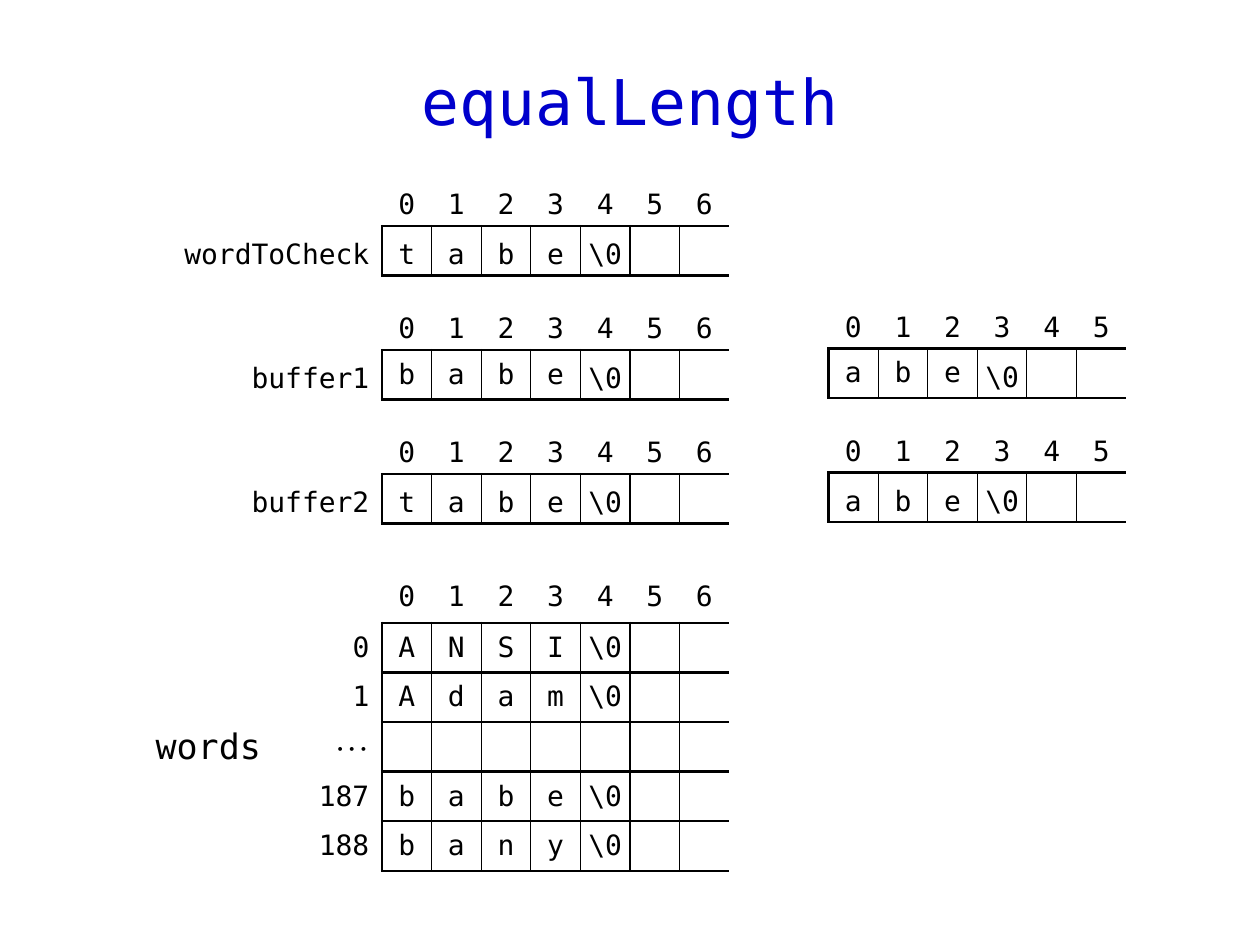
from lxml import etree
from pptx import Presentation
from pptx.dml.color import RGBColor
from pptx.enum.text import MSO_ANCHOR, PP_ALIGN
from pptx.oxml.ns import qn
from pptx.util import Pt

MIDDLE = MSO_ANCHOR.MIDDLE
CENTER, RIGHT = PP_ALIGN.CENTER, PP_ALIGN.RIGHT

COLORS = {"title": "0000CC", "ink": "000000"}
MONO, SERIF = "DejaVu Sans Mono", "Times New Roman"
CELL = 28.35          # side of one array cell
LEFT = 218.25         # left edge of the first array column
TOP = 99.9            # top of the first index row
THICK, THIN = 1.5, 0.75
LOOSE = 1.25          # line spacing that sets text a little lower


class Deck:
    def __init__(self, wide, high):
        self.prs = Presentation()
        self.prs.slide_width, self.prs.slide_height = Pt(wide), Pt(high)
        self.slide = self.prs.slides.add_slide(self.prs.slide_layouts[5])

    def style(self, para, text, size, align=CENTER, font=MONO, color="ink"):
        para.text = text
        para.alignment = align
        para.font.size = Pt(size)
        para.font.name = font
        para.font.color.rgb = RGBColor.from_string(COLORS[color])

    def title(self, text, x, y, w, h):
        shape = self.slide.shapes.title
        shape.left, shape.top, shape.width, shape.height = map(Pt, (x, y, w, h))
        shape.text_frame.vertical_anchor = MIDDLE
        self.style(shape.text_frame.paragraphs[0], text, 36, color="title")

    def text(self, text, x, y, w, h):
        frame = self.slide.shapes.add_textbox(*map(Pt, (x, y, w, h))).text_frame
        frame.word_wrap = True
        frame.vertical_anchor = MIDDLE
        self.style(frame.paragraphs[0], text, 20)

    def border(self, cell, **sides):
        """Draw the given sides (L, R, T, B: width) and hide the others."""
        props = cell._tc.get_or_add_tcPr()
        for side in "LRTB":
            line = etree.SubElement(props, qn(f"a:ln{side}"))
            if side in sides:
                line.set("w", str(Pt(sides[side])))
                fill = etree.SubElement(line, qn("a:solidFill"))
                etree.SubElement(fill, qn("a:srgbClr"), val=COLORS["ink"])
            else:
                line.set("w", "0")
                etree.SubElement(line, qn("a:noFill"))
        cell.fill.background()

    def fill_cell(self, cell, text, space, label=False):
        cell.margin_left = cell.margin_top = cell.margin_bottom = 0
        cell.margin_right = Pt(7.2 if label else 0)
        cell.vertical_anchor = MIDDLE
        para = cell.text_frame.paragraphs[0]
        dots = text == "⋯"
        self.style(para, text, 20 if dots else 16, RIGHT if label else CENTER,
                   SERIF if dots else MONO)
        if space != 1:
            para.line_spacing = space

    def array(self, col, row, count, words, labels=(), side=0,
              space=LOOSE, inner=LOOSE):
        """Index row above one row per word, open at the right end.

        col and row count cells from LEFT and TOP; side is the label width;
        inner is the line spacing of the letters.
        """
        lead = 1 if labels else 0
        rows, cols = len(words) + 1, count + lead
        frame = self.slide.shapes.add_table(
            rows, cols, Pt(LEFT + col * CELL - side), Pt(TOP + row * CELL),
            Pt(side + count * CELL), Pt(rows * CELL))
        table = frame.table
        table.first_row = table.horz_banding = False
        for i, column in enumerate(table.columns):
            column.width = Pt(side if i < lead else CELL)
        for line in table.rows:
            line.height = Pt(CELL)

        # Index row
        for i in range(count):
            cell = table.cell(0, i + lead)
            self.border(cell, B=THICK)
            self.fill_cell(cell, str(i), space)

        # Row labels
        if labels:
            self.border(table.cell(0, 0))
            for r, label in enumerate(labels, 1):
                self.border(table.cell(r, 0), R=THICK)
                self.fill_cell(table.cell(r, 0), label, space, label=True)

        # Letters, with the end mark after each word
        for r, word in enumerate(words, 1):
            marks = [*word, "\\0"] if word else []
            marks += [""] * (count - len(marks))
            for i, mark in enumerate(marks):
                cell = table.cell(r, i + lead)
                sides = {"L": THIN if i else THICK, "T": THICK, "B": THICK}
                if i < count - 1:
                    sides["R"] = THIN
                self.border(cell, **sides)
                self.fill_cell(cell, mark, space if mark == "\\0" else inner)


def main():
    deck = Deck(720, 540)
    deck.title("equalLength", 34, 15, 652, 85)

    # Single words, each with its label
    deck.array(0, 0, 7, ["tabe"], ["wordToCheck"], 4.5 * CELL)
    deck.array(0, 2.5, 7, ["babe"], ["buffer1"], 3 * CELL, inner=1)
    deck.array(0, 5, 7, ["tabe"], ["buffer2"], 3 * CELL)

    # Buffers from their second letter on
    deck.array(9, 2.5, 6, ["abe"], inner=1)
    deck.array(9, 5, 6, ["abe"])

    # Word list
    deck.array(0, 8, 7, ["ANSI", "Adam", "", "babe", "bany"],
               ["0", "1", "⋯", "187", "188"], 1.5 * CELL, space=1, inner=1)
    deck.text("words", 76.5, 397.5, 85, 56.7)

    deck.prs.save("out.pptx")


if __name__ == "__main__":
    main()
